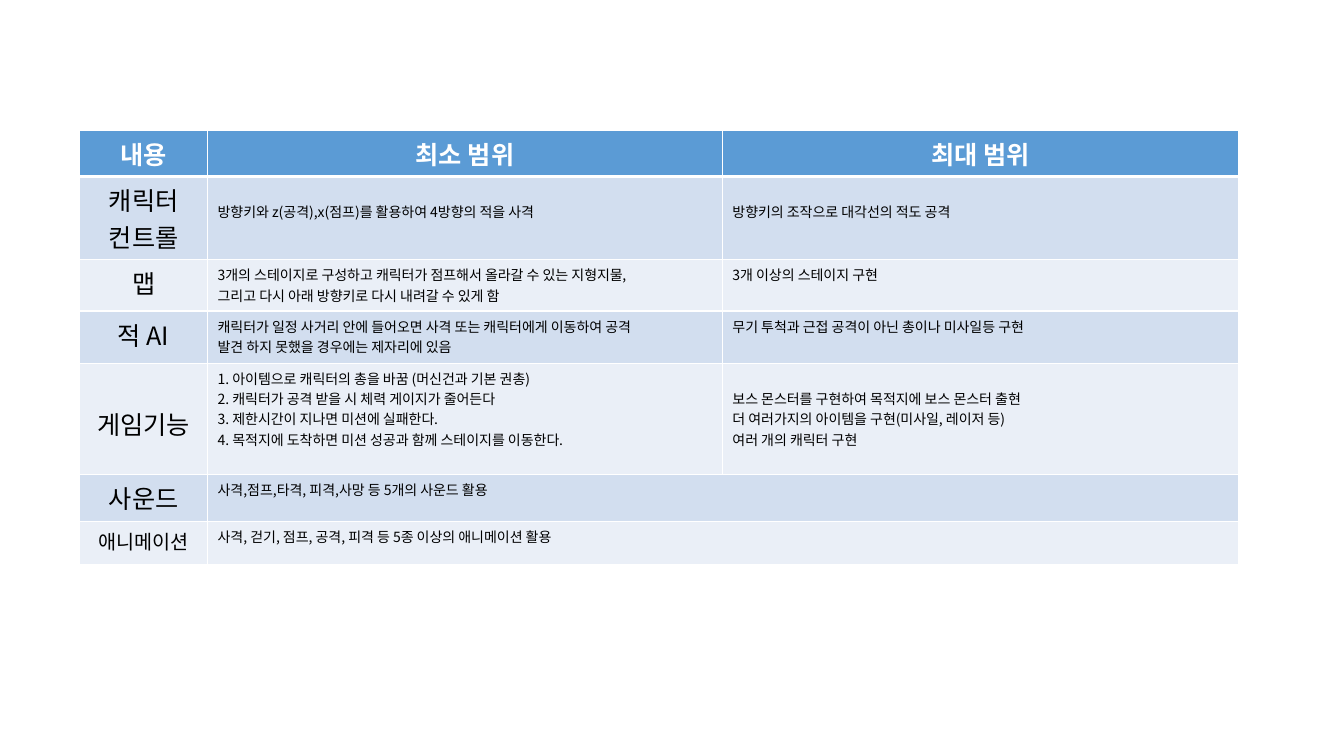
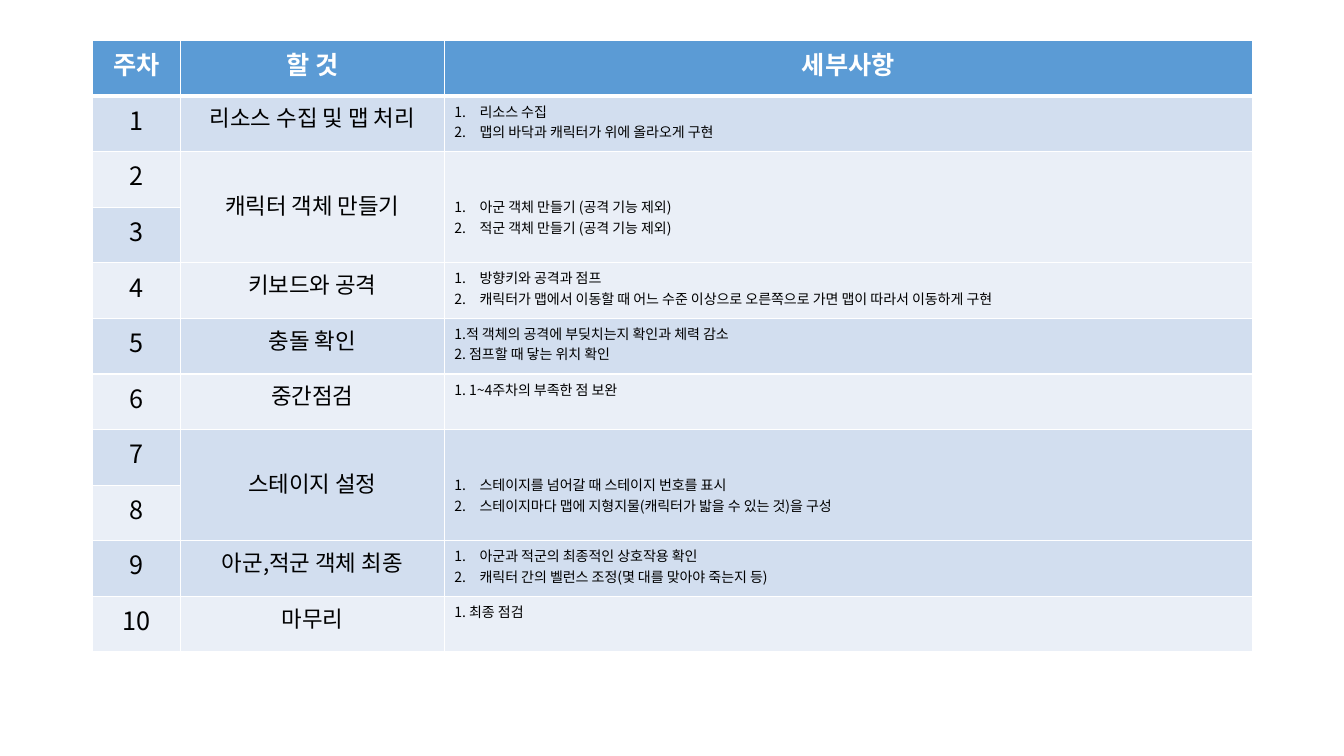
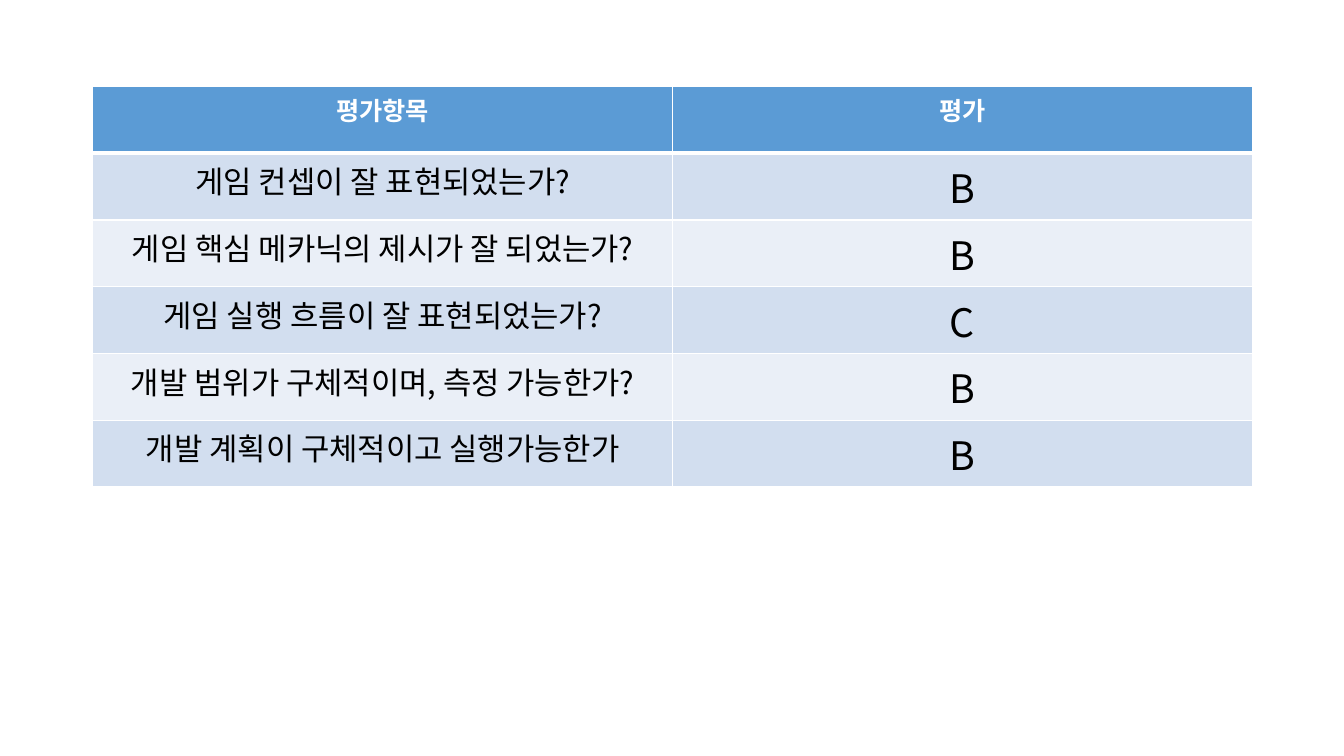
import pptx
import pptx.dml.color
import pptx.enum.text
import pptx.oxml.ns
import pptx.util
import lxml.etree

COLORS = {"header": "5B9BD5", "odd": "D2DEEF", "even": "EAEFF7", "light": "FFFFFF", "dark": "000000"}
FONT = "Noto Sans CJK KR"
HEADER_SIZE = 18
LINE_HEIGHT = 1.44  # share of the text size
UNIT = pptx.util.Inches(0.01)  # grid step for columns and rows
TABLE_WIDTH = 1150
qn = pptx.oxml.ns.qn

# Each table: place, column and row shares, text sizes by column, rows of text.
# "lowered" counts the lines a cell's text is moved down.
TABLES = [
    {   # Scope of the game
        "left": 79, "top": 129, "height": 431,
        "columns": [127, 511, 513], "rows": [46, 82, 51, 52, 110, 47, 43],
        "sizes": [18, 10, 10], "special_sizes": {(6, 0): 14},
        "lowered": {(1, 1): 1, (1, 2): 1, (4, 0): 1, (4, 2): 1},
        "merged": [(5, 1, 5, 2), (6, 1, 6, 2)], "numbered": [],
        "text": [
            ["내용", "최소 범위", "최대 범위"],
            ["캐릭터 컨트롤", "방향키와 z(공격),x(점프)를 활용하여 4방향의 적을 사격",
             "방향키의 조작으로 대각선의 적도 공격"],
            ["맵", "3개의 스테이지로 구성하고 캐릭터가 점프해서 올라갈 수 있는 지형지물,\n"
             "그리고 다시 아래 방향키로 다시 내려갈 수 있게 함", "3개 이상의 스테이지 구현"],
            ["적 AI", "캐릭터가 일정 사거리 안에 들어오면 사격 또는 캐릭터에게 이동하여 공격\n"
             "발견 하지 못했을 경우에는 제자리에 있음", "무기 투척과 근접 공격이 아닌 총이나 미사일등 구현"],
            ["게임기능", "1. 아이템으로 캐릭터의 총을 바꿈 (머신건과 기본 권총)\n"
             "2. 캐릭터가 공격 받을 시 체력 게이지가 줄어든다\n"
             "3. 제한시간이 지나면 미션에 실패한다.\n"
             "4. 목적지에 도착하면 미션 성공과 함께 스테이지를 이동한다.",
             "보스 몬스터를 구현하여 목적지에 보스 몬스터 출현\n"
             "더 여러가지의 아이템을 구현(미사일, 레이저 등)\n여러 개의 캐릭터 구현"],
            ["사운드", "사격,점프,타격, 피격,사망 등 5개의 사운드 활용", None],
            ["애니메이션", "사격, 걷기, 점프, 공격, 피격 등 5종 이상의 애니메이션 활용", None],
        ],
    },
    {   # Weekly plan
        "left": 92, "top": 40, "height": 607,
        "columns": [87, 262, 802], "rows": [1] * 11,
        "sizes": [18, 16, 10], "special_sizes": {},
        "lowered": {(2, 1): 1, (2, 2): 2, (7, 1): 1, (7, 2): 2},
        "merged": [(row, column, row + 1, column) for row in (2, 7) for column in (1, 2)],
        "numbered": [(row, 2) for row in (1, 2, 4, 7, 9)],
        "text": [
            ["주차", "할 것", "세부사항"],
            ["1", "리소스 수집 및 맵 처리", "리소스 수집\n맵의 바닥과 캐릭터가 위에 올라오게 구현"],
            ["2", "캐릭터 객체 만들기", "아군 객체 만들기 (공격 기능 제외)\n적군 객체 만들기 (공격 기능 제외)"],
            ["3", None, None],
            ["4", "키보드와 공격", "방향키와 공격과 점프\n"
             "캐릭터가 맵에서 이동할 때 어느 수준 이상으로 오른쪽으로 가면 맵이 따라서 이동하게 구현"],
            ["5", "충돌 확인", "1.적 객체의 공격에 부딪치는지 확인과 체력 감소\n2. 점프할 때 닿는 위치 확인"],
            ["6", "중간점검", "1. 1~4주차의 부족한 점 보완"],
            ["7", "스테이지 설정", "스테이지를 넘어갈 때 스테이지 번호를 표시\n"
             "스테이지마다 맵에 지형지물(캐릭터가 밟을 수 있는 것)을 구성"],
            ["8", None, None],
            ["9", "아군,적군 객체 최종", "아군과 적군의 최종적인 상호작용 확인\n"
             "캐릭터 간의 벨런스 조정(몇 대를 맞아야 죽는지 등)"],
            ["10", "마무리", "1. 최종 점검"],
        ],
    },
    {   # Self-assessment
        "left": 92, "top": 86, "height": 396,
        "columns": [1, 1], "rows": [1] * 6,
        "sizes": [22, 28], "special_sizes": {},
        "lowered": {}, "merged": [], "numbered": [],
        "text": [
            ["평가항목", "평가"],
            ["게임 컨셉이 잘 표현되었는가?", "B"],
            ["게임 핵심 메카닉의 제시가 잘 되었는가?", "B"],
            ["게임 실행 흐름이 잘 표현되었는가?", "C"],
            ["개발 범위가 구체적이며, 측정 가능한가?", "B"],
            ["개발 계획이 구체적이고 실행가능한가", "B"],
        ],
    },
]


def paint_cell(cell, row):
    """White borders, thicker under the header, and the band's fill."""
    properties = cell._tc.get_or_add_tcPr()
    widths = {"lnL": 1, "lnR": 1, "lnT": 3 if row == 1 else 1, "lnB": 3 if row == 0 else 1}
    for side, points in widths.items():
        line = lxml.etree.SubElement(properties, qn("a:" + side), w=str(pptx.util.Pt(points)))
        solid = lxml.etree.SubElement(line, qn("a:solidFill"))
        lxml.etree.SubElement(solid, qn("a:srgbClr"), val=COLORS["light"])
    band = "header" if row == 0 else "odd" if row % 2 else "even"
    cell.fill.solid()
    cell.fill.fore_color.rgb = pptx.dml.color.RGBColor.from_string(COLORS[band])


def format_paragraph(para, size, header, centred, numbered):
    para.alignment = pptx.enum.text.PP_ALIGN.CENTER if centred else pptx.enum.text.PP_ALIGN.LEFT
    if numbered:
        indent = pptx.util.Inches(0.25)
        properties = para._p.get_or_add_pPr()
        properties.set("marL", str(indent))
        properties.set("indent", str(-indent))
        lxml.etree.SubElement(properties, qn("a:buAutoNum"), type="arabicPeriod")
    for span in para.runs:
        span.font.size = pptx.util.Pt(size)
        span.font.bold = header
        span.font.color.rgb = pptx.dml.color.RGBColor.from_string(COLORS["light" if header else "dark"])
        span.font.name = FONT
        lxml.etree.SubElement(span._r.get_or_add_rPr(), qn("a:ea"), typeface=FONT)


deck = pptx.Presentation()
deck.slide_width = pptx.util.Inches(13.33)
deck.slide_height = pptx.util.Inches(7.5)

for plan in TABLES:
    page = deck.slides.add_slide(deck.slide_layouts[6])
    table = page.shapes.add_table(
        len(plan["rows"]), len(plan["columns"]),
        plan["left"] * UNIT, plan["top"] * UNIT, TABLE_WIDTH * UNIT, plan["height"] * UNIT).table

    # Column widths and row heights from their shares
    for column, share in zip(table.columns, plan["columns"]):
        column.width = int(TABLE_WIDTH * UNIT * share / sum(plan["columns"]))
    for row, share in zip(table.rows, plan["rows"]):
        row.height = int(plan["height"] * UNIT * share / sum(plan["rows"]))

    # Cells
    for r, texts in enumerate(plan["text"]):
        for c, text in enumerate(texts):
            cell = table.cell(r, c)
            paint_cell(cell, r)
            if text is None:
                continue
            header = r == 0
            size = HEADER_SIZE if header else plan["special_sizes"].get((r, c), plan["sizes"][c])
            lowered = plan["lowered"].get((r, c), 0)
            cell.margin_top = pptx.util.Inches(0.05) + pptx.util.Pt(lowered * size * LINE_HEIGHT)
            cell.text_frame.text = text
            for para in cell.text_frame.paragraphs:
                format_paragraph(para, size, header, header or size > 10, (r, c) in plan["numbered"])

    for top, left, bottom, right in plan["merged"]:
        table.cell(top, left).merge(table.cell(bottom, right))

deck.save("out.pptx")
